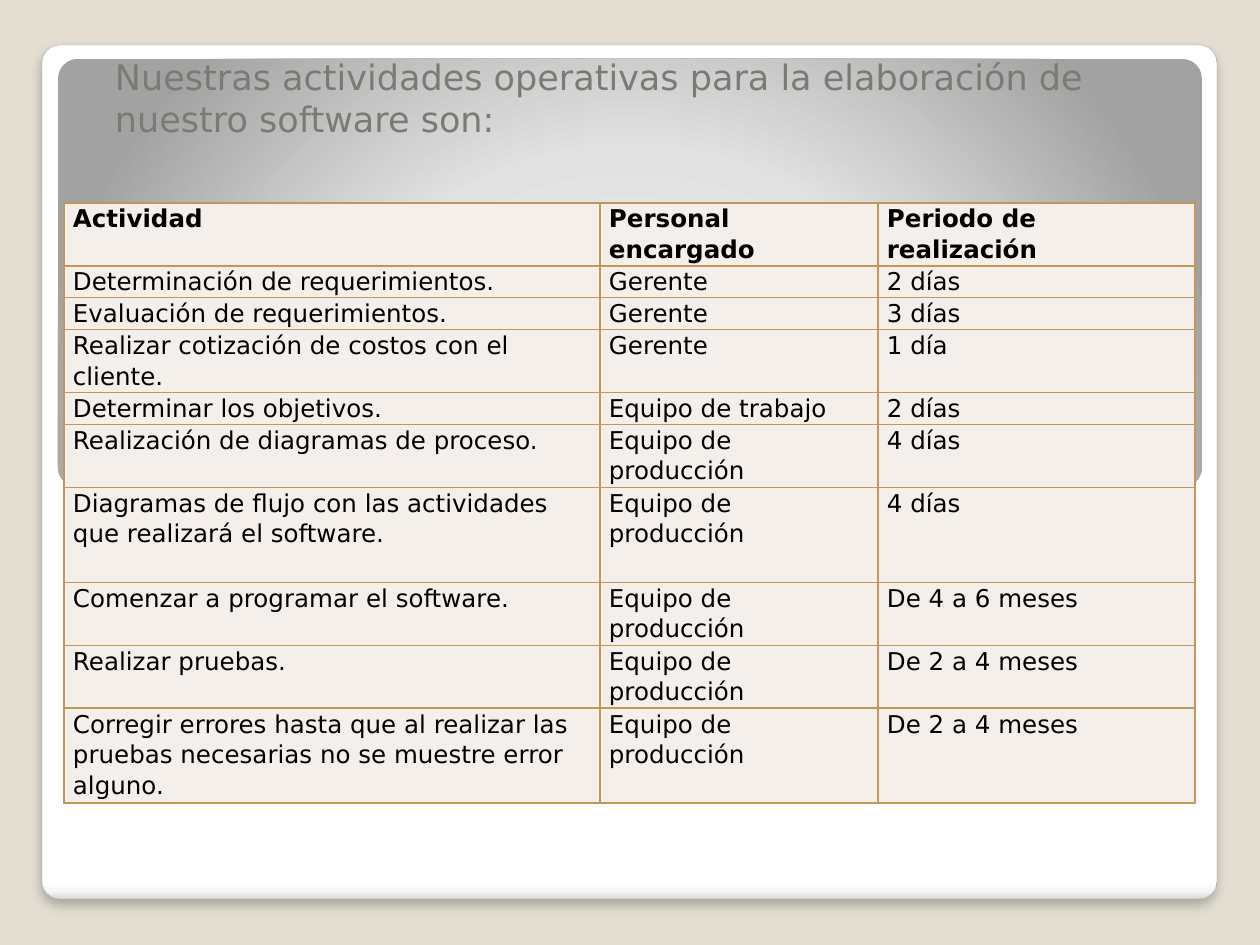
from lxml.etree import SubElement
from pptx import Presentation
from pptx.dml.color import RGBColor
from pptx.enum.shapes import MSO_SHAPE as Shape
from pptx.enum.text import MSO_ANCHOR as Anchor, PP_ALIGN as Align
from pptx.oxml.ns import qn
from pptx.util import Emu, Pt

SCALE = 914400 // 126
FONT = "DejaVu Sans"
COLUMNS = [536, 278, 317]
ROWS = [
    (61, "Actividad", "Personal encargado", "Periodo de realización"),
    (31, "Determinación de requerimientos.", "Gerente", "2 días"),
    (32, "Evaluación de requerimientos.", "Gerente", "3 días"),
    (63, "Realizar cotización de costos con el cliente.", "Gerente", "1 día"),
    (32, "Determinar los objetivos.", "Equipo de trabajo", "2 días"),
    (63, "Realización de diagramas de proceso.", "Equipo de producción", "4 días"),
    (95, "Diagramas de flujo con las actividades que realizará el software.",
     "Equipo de producción", "4 días"),
    (63, "Comenzar a programar el software.", "Equipo de producción", "De 4 a 6 meses"),
    (62, "Realizar pruebas.", "Equipo de producción", "De 2 a 4 meses"),
    (95, "Corregir errores hasta que al realizar las pruebas necesarias no se muestre error alguno.",
     "Equipo de producción", "De 2 a 4 meses"),
]


def px(length):
    """Turn pixels into EMU."""
    return Emu(length * SCALE)


def color(value):
    """Turn a hex string into a colour."""
    return RGBColor.from_string(value)


def element(parent, tag, **attributes):
    """Add a DrawingML child element."""
    return SubElement(parent, qn("a:" + tag), {k: str(v) for k, v in attributes.items()})


def add_run(paragraph, text, size, tone, bold=False):
    """Add one formatted run."""
    run = paragraph.add_run()
    run.text = text
    run.font.name, run.font.size, run.font.bold = FONT, Pt(size), bold
    run.font.color.rgb = color(tone)


def set_margins(frame, left, right, bottom=0):
    """Set the insets of a text frame or cell."""
    frame.margin_left, frame.margin_right = px(left), px(right)
    frame.margin_top, frame.margin_bottom = px(0), px(bottom)


def add_panel(slide, box, rounding, stops):
    """Add a rounded panel and return it with its gradient element."""
    panel = slide.shapes.add_shape(Shape.ROUNDED_RECTANGLE, *map(px, box))
    panel.adjustments[0] = rounding
    gradient = element(panel.element.spPr, "gradFill", rotWithShape=1)
    stop_list = element(gradient, "gsLst")
    for position, tone in stops:
        element(element(stop_list, "gs", pos=position * 1000), "srgbClr", val=tone)
    panel.shadow.inherit = False
    return panel, gradient


def add_card(slide, box):
    """Add the white card with its soft shadow."""
    stops = [(0, "FFFFFF"), (98, "FFFFFF"), (99, "F7F7F7"), (100, "DADADA")]
    card, gradient = add_panel(slide, box, 0.021, stops)
    element(gradient, "lin", ang=90 * 60000, scaled=0)
    card.line.color.rgb = color("A4A4A4")
    card.line.width = Pt(0.16)
    effects = card.element.spPr.find(qn("a:effectLst"))
    shadow = element(effects, "outerShdw", blurRad=Pt(6), dist=Pt(4),
                     dir=90 * 60000, algn="ctr", rotWithShape=0)
    element(element(shadow, "srgbClr", val="000000"), "alpha", val=25000)


def add_banner(slide, box):
    """Add the grey banner lit from below."""
    stops = [(0, "FFFFFF"), (55, "E1E1E1"), (100, "A2A2A2")]
    banner, gradient = add_panel(slide, box, 0.046, stops)
    glow = element(gradient, "path", path="circle")
    element(glow, "fillToRect", l=50000, t=175000, r=50000, b=-75000)
    banner.line.fill.background()


def add_heading(slide, box, text):
    """Add the heading text."""
    frame = slide.shapes.add_textbox(*map(px, box)).text_frame
    frame.word_wrap = True
    frame.vertical_anchor = Anchor.TOP
    set_margins(frame, 25, 13, 6)
    paragraph = frame.paragraphs[0]
    paragraph.alignment = Align.LEFT
    paragraph._p.get_or_add_pPr().set("marL", str(px(5)))
    add_run(paragraph, text, 20, "7C7A72")


def fill_cell(cell, text, bold):
    """Write, border and fill one table cell."""
    set_margins(cell, 9, 9)
    properties = cell._tc.get_or_add_tcPr()
    for side in ("lnL", "lnR", "lnT", "lnB"):
        border = element(properties, side, w=Pt(1))
        element(element(border, "solidFill"), "srgbClr", val="C19859")
    cell.fill.solid()
    cell.fill.fore_color.rgb = color("F4EFEA")
    paragraph = cell.text_frame.paragraphs[0]
    paragraph.line_spacing = 1.07
    add_run(paragraph, text, 14, "000000", bold)


def add_schedule(slide, left, top):
    """Add the table of activities."""
    height = sum(row[0] for row in ROWS)
    box = left, top, sum(COLUMNS), height
    table = slide.shapes.add_table(len(ROWS), len(COLUMNS), *map(px, box)).table
    table.first_row = table.horz_banding = False
    for column, width in zip(table.columns, COLUMNS):
        column.width = px(width)
    for index, (row, (height, *texts)) in enumerate(zip(table.rows, ROWS)):
        row.height = px(height)
        for cell, text in zip(row.cells, texts):
            fill_cell(cell, text, index == 0)


def build_slide(deck):
    """Build the activities slide."""
    slide = deck.slides.add_slide(deck.slide_layouts[6])
    slide.background.fill.solid()
    slide.background.fill.fore_color.rgb = color("E3DED1")
    add_card(slide, (42, 45, 1175, 854))
    add_banner(slide, (58, 59, 1144, 428))
    add_heading(slide, (85, 56, 1071, 126),
                "Nuestras actividades operativas para la elaboración de nuestro software son:")
    add_schedule(slide, 64, 203)


presentation = Presentation()
presentation.slide_width, presentation.slide_height = px(1260), px(945)
build_slide(presentation)
presentation.save("out.pptx")
